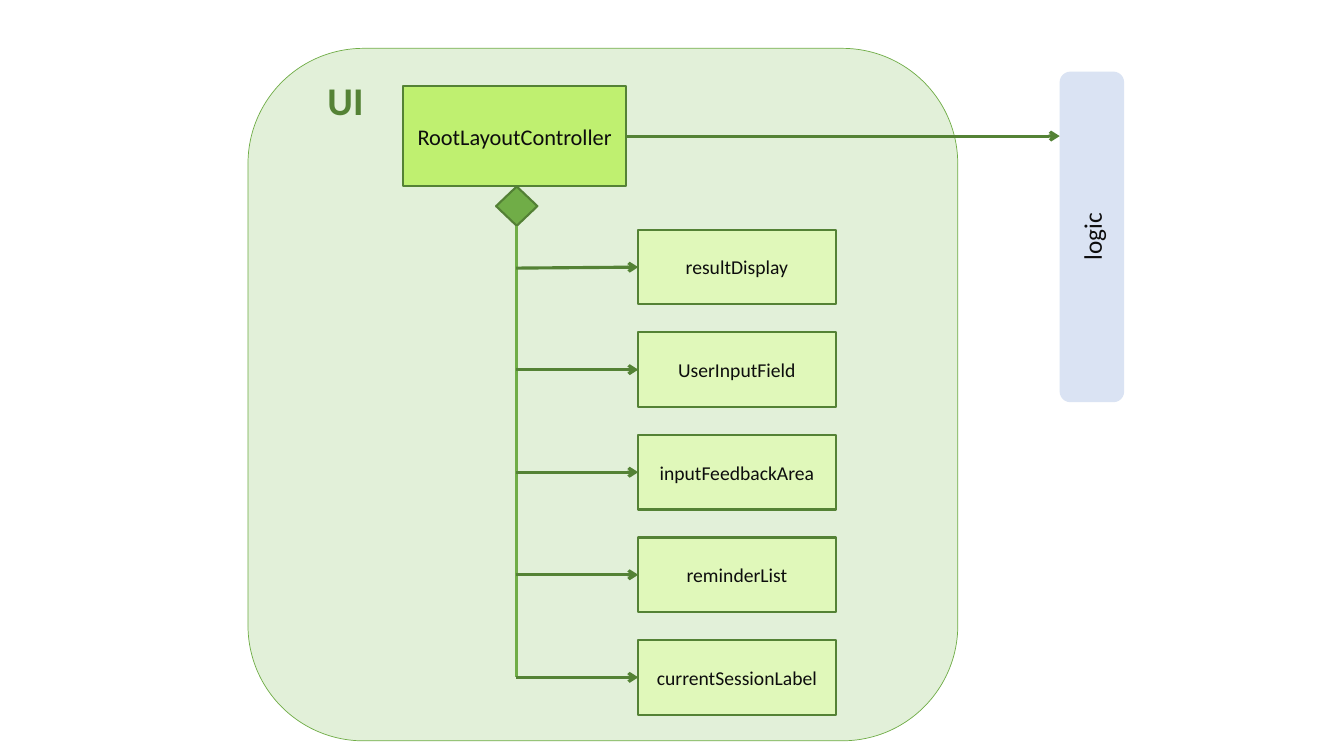
"""Build the UI component diagram slide."""
import pptx
import pptx.dml.color
import pptx.enum.shapes
import pptx.enum.text
import pptx.oxml.ns
import pptx.util
from lxml import etree

Inches = pptx.util.Inches
Pt = pptx.util.Pt
Shapes = pptx.enum.shapes.MSO_SHAPE
Color = pptx.dml.color.RGBColor.from_string
qn = pptx.oxml.ns.qn

DARK_GREEN = "548235"
GREEN = "70AD47"
INK = "0D0D0D"

deck = pptx.Presentation()
deck.slide_width = Inches(13.33)
deck.slide_height = Inches(7.5)
page = deck.slides.add_slide(deck.slide_layouts[6])


def add_box(kind, left, top, width, height, fill, line=None, weight=1.5, text="", size=14):
    box = page.shapes.add_shape(kind, Inches(left), Inches(top), Inches(width), Inches(height))
    box.shadow.inherit = False
    box.fill.solid()
    box.fill.fore_color.rgb = Color(fill)
    if line:
        box.line.color.rgb = Color(line)
        box.line.width = Pt(weight)
    else:
        box.line.fill.background()
    if text:
        box.text_frame.word_wrap = True
        box.text_frame.vertical_anchor = pptx.enum.text.MSO_ANCHOR.MIDDLE
        para = box.text_frame.paragraphs[0]
        para.alignment = pptx.enum.text.PP_ALIGN.CENTER
        span = para.add_run()
        span.text = text
        span.font.name = "Calibri"
        span.font.size = Pt(size)
        span.font.color.rgb = Color(INK)
    return box


def add_line(x1, y1, x2, y2, color, arrow=True):
    line = page.shapes.add_connector(
        pptx.enum.shapes.MSO_CONNECTOR.STRAIGHT, Inches(x1), Inches(y1), Inches(x2), Inches(y2))
    line.line.color.rgb = Color(color)
    line.line.width = Pt(2.25)
    if arrow:
        etree.SubElement(line.line._get_or_add_ln(), qn("a:tailEnd"), type="arrow")
    etree.SubElement(line._element.spPr, qn("a:effectLst"))


add_box(Shapes.ROUNDED_RECTANGLE, 2.46, 0.48, 7.04, 6.87, "E2F0D9", GREEN, 0.5)

ui_label = page.shapes.add_textbox(Inches(3.15), Inches(0.71), Inches(0.56), Inches(0.57))
ui_label.text_frame.word_wrap = False
ui_label.text_frame.auto_size = pptx.enum.text.MSO_AUTO_SIZE.SHAPE_TO_FIT_TEXT
span = ui_label.text_frame.paragraphs[0].add_run()
span.text = "UI"
span.font.name = "Calibri"
span.font.size = Pt(28)
span.font.bold = True
span.font.color.rgb = Color(DARK_GREEN)

add_box(Shapes.RECTANGLE, 4, 0.85, 2.21, 1, "BFF070", DARK_GREEN,
        text="RootLayoutController", size=16)
add_box(Shapes.DIAMOND, 4.92, 1.85, 0.41, 0.39, GREEN, "538035")

logic = add_box(Shapes.ROUNDED_RECTANGLE, 9.19, 2.03, 3.28, 0.64, "DAE3F3", text="logic", size=18)
logic.rotation = 270
add_line(6.2, 1.35, 10.51, 1.35, DARK_GREEN)

trunk_x, part_left = 5.12, 6.33
first_top, last_top, part_height = 2.28, 6.35, 0.74
parts = ["resultDisplay", "UserInputField", "inputFeedbackArea", "reminderList", "currentSessionLabel"]
pitch = (last_top - first_top) / (len(parts) - 1)

add_line(trunk_x, 2.24, trunk_x, last_top + part_height / 2, GREEN, arrow=False)
for row, name in enumerate(parts):
    top = first_top + row * pitch
    middle = top + part_height / 2
    add_box(Shapes.RECTANGLE, part_left, top, 1.96, part_height, "E0F8BA", DARK_GREEN, text=name)
    add_line(trunk_x, 2.66 if row == 0 else middle, part_left, middle, DARK_GREEN)

deck.save("out.pptx")
